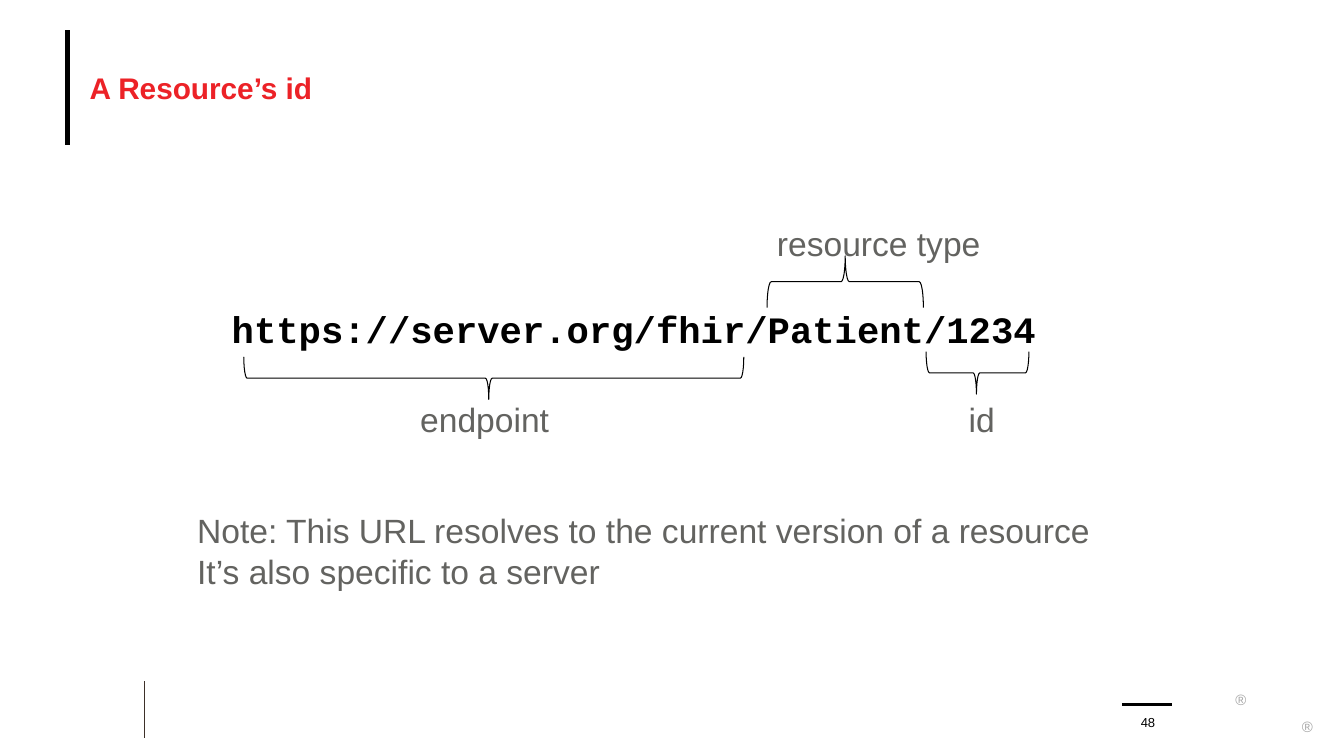
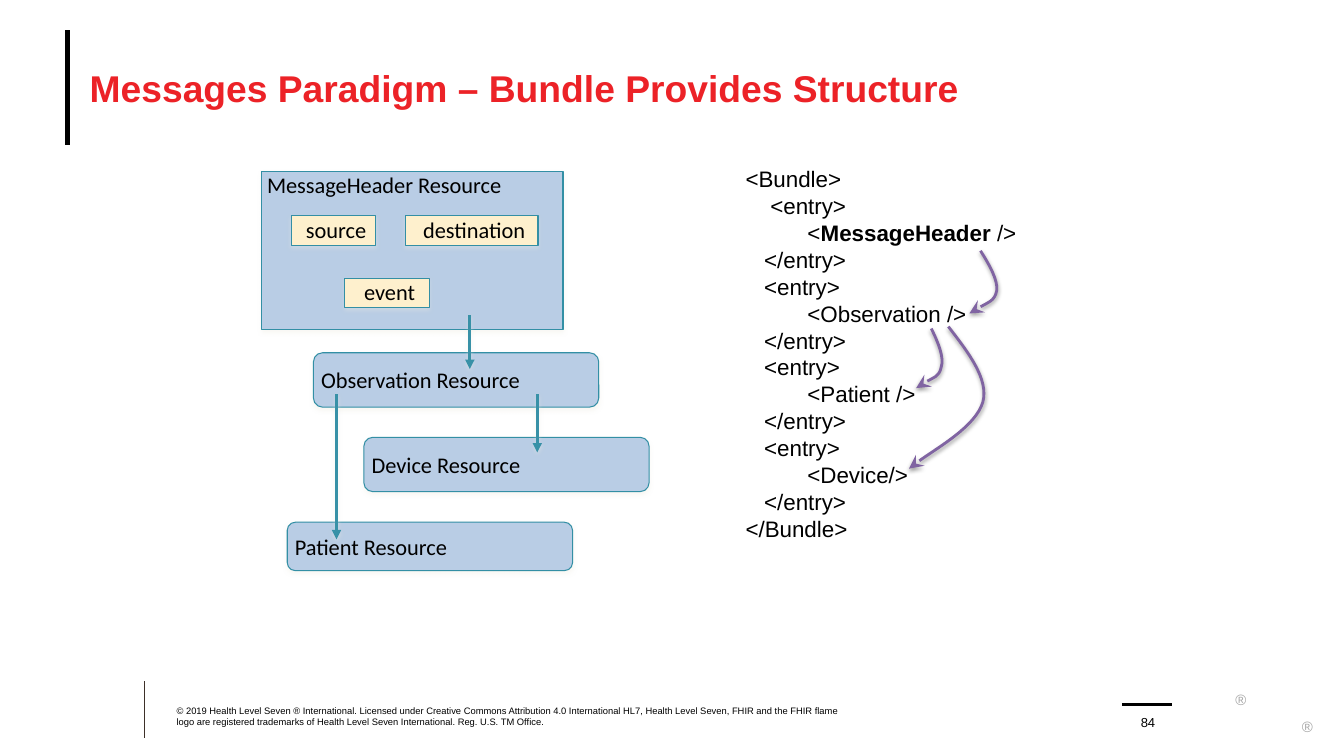
from dataclasses import dataclass, field
from typing import Any

from lxml.etree import SubElement
from pptx import Presentation
from pptx.dml.color import RGBColor
from pptx.enum.shapes import MSO_CONNECTOR, MSO_SHAPE
from pptx.enum.text import MSO_ANCHOR as Anchor, MSO_AUTO_SIZE as AutoSize, PP_ALIGN as Align
from pptx.oxml.ns import qn
from pptx.util import Cm, Pt

# Colours
BLACK = RGBColor(0x00, 0x00, 0x00)
RED = RGBColor(0xEC, 0x22, 0x27)
GREY = RGBColor(0x63, 0x63, 0x60)
MARK_GREY = RGBColor(0xA6, 0xA6, 0xA6)
BROWN = RGBColor(0x3D, 0x30, 0x29)
BLUE = RGBColor(0xB9, 0xCD, 0xE5)
CREAM = RGBColor(0xFE, 0xF0, 0xCD)
TEAL = RGBColor(0x33, 0x8F, 0xA5)
ARROW_TEAL = RGBColor(0x38, 0x91, 0xA7)
PURPLE = RGBColor(0x80, 0x64, 0xA2)
SHADOW_IVORY = RGBColor(0xEE, 0xEC, 0xE1)

NO_MARGINS = (0, 0, 0, 0)
TEXT_MARGINS = (0.25, 0.13, 0.25, 0.13)
BOX_MARGINS = (0.13, 0, 0, 0)


@dataclass(frozen=True)
class Area:
    """Left, top, width and height in centimetres."""
    left: float
    top: float
    width: float
    height: float

    def lengths(self) -> tuple:
        return Cm(self.left), Cm(self.top), Cm(self.width), Cm(self.height)


@dataclass(frozen=True)
class TextStyle:
    size: float
    color: RGBColor = BLACK
    font: str = "Arial"
    bold: bool = False
    margins: tuple = NO_MARGINS
    frame: dict = field(default_factory=dict)
    paragraph: dict = field(default_factory=dict)


@dataclass(frozen=True)
class Line:
    start: tuple
    end: tuple
    color: RGBColor
    width: float


@dataclass(frozen=True)
class Brace:
    area: Area
    rotation: int
    tip: float


@dataclass(frozen=True)
class Box:
    text: str
    area: Area
    kind: MSO_SHAPE
    fill: RGBColor
    style: TextStyle


# Text styles
CENTERED = {"alignment": Align.CENTER}
MIDDLE = {"vertical_anchor": Anchor.MIDDLE}
BOTTOM = {"vertical_anchor": Anchor.BOTTOM}
MARK_STYLE = TextStyle(10.7, MARK_GREY, frame=MIDDLE | {"word_wrap": False}, paragraph=CENTERED)
NUMBER_STYLE = TextStyle(9.3, frame=BOTTOM, paragraph=CENTERED)
COPYRIGHT_STYLE = TextStyle(6.7, frame=BOTTOM)
URL_STYLE = TextStyle(26.6, font="Courier New", bold=True)
LABEL_STYLE = TextStyle(24, GREY, margins=TEXT_MARGINS)
CODE_STYLE = TextStyle(16, margins=TEXT_MARGINS)
HEADER_STYLE = TextStyle(16, font="Calibri", margins=BOX_MARGINS)
RESOURCE_STYLE = TextStyle(16, font="Calibri", margins=BOX_MARGINS, frame=MIDDLE)
FIELD_STYLE = TextStyle(16, font="Calibri", margins=BOX_MARGINS, paragraph=CENTERED)

# Parts on every slide
TITLE_AREA = Area(2.26, 0.76, 30.48, 2.9)
NUMBER_AREA = Area(28.42, 17.75, 1.02, 0.64)
FRAME_LINES = (
    Line((3.63, 17.17), (3.63, 18.59), BROWN, 0.5),
    Line((1.7, 0.76), (1.7, 3.66), BLACK, 3.25),
    Line((28.27, 17.75), (29.54, 17.75), BLACK, 2),
)
MARK_AREAS = (Area(31.08, 17.27, 0.38, 0.71), Area(32.76, 17.96, 0.38, 0.71))

# Resource id slide
BRACES = (
    Brace(Area(11.91, 3.23, 1.07, 12.6), 270, 0.49),
    Brace(Area(20.65, 5.13, 1.3, 3.94), 90, 0.5),
    Brace(Area(24.1, 8.1, 1.07, 2.59), 270, 0.49),
)
URL_TEXTS = (
    ("https://server.org/fhir/Patient/1234", Area(5.84, 7.72, 24.71, 1.45), URL_STYLE),
    ("endpoint", Area(10.34, 9.93, 4.2, 1.27), LABEL_STYLE),
    ("resource type", Area(19.33, 5.49, 6.1, 1.27), LABEL_STYLE),
    ("id", Area(24.16, 9.93, 1.4, 1.27), LABEL_STYLE),
    ("Note: This URL resolves to the current version of a resource\n"
     "It’s also specific to a server", Area(4.72, 12.73, 23.6, 2.31), LABEL_STYLE),
)

# Messages slide
RECTANGLE, ROUNDED = MSO_SHAPE.RECTANGLE, MSO_SHAPE.ROUNDED_RECTANGLE
BOXES = (
    Box("MessageHeader Resource", Area(6.6, 4.32, 7.59, 3.99), RECTANGLE, BLUE, HEADER_STYLE),
    Box("source", Area(7.34, 5.44, 2.13, 0.74), RECTANGLE, CREAM, FIELD_STYLE),
    Box("destination", Area(10.21, 5.44, 3.35, 0.74), RECTANGLE, CREAM, FIELD_STYLE),
    Box("event", Area(8.69, 7.01, 2.13, 0.74), RECTANGLE, CREAM, FIELD_STYLE),
    Box("Observation Resource", Area(7.9, 8.89, 7.19, 1.37), ROUNDED, BLUE, RESOURCE_STYLE),
    Box("Device Resource", Area(9.17, 11.02, 7.19, 1.37), ROUNDED, BLUE, RESOURCE_STYLE),
    Box("Patient Resource", Area(7.24, 13.16, 7.19, 1.22), ROUNDED, BLUE, RESOURCE_STYLE),
)
RESOURCE_ARROWS = (
    Line((11.84, 7.95), (11.84, 9.3), ARROW_TEAL, 2.25),
    Line((13.54, 9.93), (13.54, 11.4), ARROW_TEAL, 2.25),
    Line((8.48, 9.93), (8.48, 13.59), ARROW_TEAL, 2.25),
)
# Start point, then three points for each Bezier segment
REFERENCE_CURVES = (
    ((24.71, 6.32), (24.94, 6.68), (25.15, 7.06), (25.12, 7.32),
     (25.07, 7.59), (24.56, 7.8), (24.43, 7.9)),
    ((23.9, 8.23), (24.41, 8.89), (24.92, 9.55), (24.77, 10.13),
     (24.59, 10.74), (23.22, 11.53), (22.91, 11.81)),
    ((23.47, 8.28), (23.65, 8.64), (23.8, 9.02), (23.72, 9.25),
     (23.67, 9.5), (23.19, 9.68), (23.09, 9.78)),
)
# Double asterisks enclose bold text
BUNDLE_CODE = """<Bundle>
    <entry>
          <**MessageHeader** />
   </entry>
   <entry>
          <Observation />
   </entry>
   <entry>
          <Patient />
   </entry>
   <entry>
          <Device/>
   </entry>
</Bundle>"""
COPYRIGHT = (
    "© 2019 Health Level Seven ® International. Licensed under Creative Commons "
    "Attribution 4.0 International HL7, Health Level Seven, FHIR and the FHIR flame "
    "logo are registered trademarks of Health Level Seven International. "
    "Reg. U.S. TM Office."
)


def apply_format(target: Any, values: dict) -> None:
    for name, value in values.items():
        setattr(target, name, value)


def write_text(shape: Any, text: str, style: TextStyle) -> None:
    text_frame = shape.text_frame
    sides = ("margin_left", "margin_top", "margin_right", "margin_bottom")
    margins = {side: Cm(margin) for side, margin in zip(sides, style.margins)}
    defaults = {"word_wrap": True, "auto_size": AutoSize.NONE, "vertical_anchor": Anchor.TOP}
    apply_format(text_frame, defaults | margins | style.frame)
    for index, content in enumerate(text.split("\n")):
        paragraph = text_frame.add_paragraph() if index else text_frame.paragraphs[0]
        apply_format(paragraph, {"alignment": Align.LEFT} | style.paragraph)
        for position, part in enumerate(content.split("**")):
            run = paragraph.add_run()
            run.text = part
            bold = style.bold or position % 2 == 1
            apply_format(run.font, {"name": style.font, "size": Pt(style.size), "bold": bold})
            run.font.color.rgb = style.color


def add_text(slide: Any, text: str, area: Area, style: TextStyle) -> None:
    write_text(slide.shapes.add_textbox(*area.lengths()), text, style)


def set_line(shape: Any, color: RGBColor, width: float, arrowhead: str = "",
             head_size: str = "med") -> None:
    shape.line.color.rgb = color
    shape.line.width = Pt(width)
    if arrowhead:
        outline = shape.line._get_or_add_ln()
        SubElement(outline, qn("a:tailEnd"), type=arrowhead, w=head_size, len=head_size)


def set_shadow(shape: Any, color: RGBColor | None = None, alpha: int = 38,
               distance: float = 1.6) -> None:
    properties = shape._element.spPr
    effects = properties.find(qn("a:effectLst"))
    if effects is None:
        effects = SubElement(properties, qn("a:effectLst"))
    if color is None:
        return
    shadow = SubElement(effects, qn("a:outerShdw"), blurRad=str(Pt(3)),
                        dist=str(Pt(distance)), dir="5400000", rotWithShape="0")
    shade = SubElement(shadow, qn("a:srgbClr"), val=str(color))
    SubElement(shade, qn("a:alpha"), val=str(alpha * 1000))


def add_line(slide: Any, line: Line, arrowhead: str = "",
             shadow: RGBColor | None = None) -> None:
    ends = [Cm(value) for value in line.start + line.end]
    connector = slide.shapes.add_connector(MSO_CONNECTOR.STRAIGHT, *ends)
    set_line(connector, line.color, line.width, arrowhead)
    set_shadow(connector, shadow)


def add_brace(slide: Any, brace: Brace) -> None:
    shape = slide.shapes.add_shape(MSO_SHAPE.LEFT_BRACE, *brace.area.lengths())
    shape.rotation = brace.rotation
    shape.adjustments[0] = 0.08
    shape.adjustments[1] = brace.tip
    shape.shadow.inherit = False
    shape.fill.background()
    set_line(shape, BLACK, 0.75)


def add_box(slide: Any, box: Box) -> None:
    shape = slide.shapes.add_shape(box.kind, *box.area.lengths())
    shape.shadow.inherit = False
    shape.fill.solid()
    shape.fill.fore_color.rgb = box.fill
    set_line(shape, TEAL, 0.75)
    set_shadow(shape, SHADOW_IVORY, alpha=35, distance=1.8)
    write_text(shape, box.text, box.style)


def add_curve(slide: Any, points: tuple) -> None:
    start, *others = [(Cm(x), Cm(y)) for x, y in points]
    builder = slide.shapes.build_freeform(*start)
    builder.add_line_segments(others, close=False)
    shape = builder.convert_to_shape()
    # Turn each three straight segments into one Bezier segment
    outline = shape._element.spPr.find(".//" + qn("a:path"))
    segments = outline.findall(qn("a:lnTo"))
    for first in range(0, len(segments), 3):
        curve = SubElement(outline, qn("a:cubicBezTo"))
        for segment in segments[first:first + 3]:
            curve.append(segment[0])
            outline.remove(segment)
    shape.shadow.inherit = False
    shape.fill.background()
    set_line(shape, PURPLE, 2, "stealth", "lg")
    set_shadow(shape, BLACK)


def add_framed_slide(presentation: Any, title: str, title_size: float, number: int) -> Any:
    slide = presentation.slides.add_slide(presentation.slide_layouts[5])
    placeholder = slide.shapes.title
    apply_format(placeholder, dict(zip(("left", "top", "width", "height"), TITLE_AREA.lengths())))
    write_text(placeholder, title, TextStyle(title_size, RED, bold=True, frame=MIDDLE))
    for line in FRAME_LINES:
        add_line(slide, line)
    for area in MARK_AREAS:
        add_text(slide, "®", area, MARK_STYLE)
    add_text(slide, str(number), NUMBER_AREA, NUMBER_STYLE)
    return slide


def add_resource_id_slide(presentation: Any) -> None:
    slide = add_framed_slide(presentation, "A Resource’s id", 21.3, 48)
    for brace in BRACES:
        add_brace(slide, brace)
    for text, area, style in URL_TEXTS:
        add_text(slide, text, area, style)


def add_messages_slide(presentation: Any) -> None:
    title = "Messages Paradigm – Bundle Provides Structure"
    slide = add_framed_slide(presentation, title, 26.6, 84)
    for box in BOXES:
        add_box(slide, box)
    for arrow in RESOURCE_ARROWS:
        add_line(slide, arrow, "triangle", SHADOW_IVORY)
    add_text(slide, BUNDLE_CODE, Area(18.54, 4.04, 7.9, 9.83), CODE_STYLE)
    for points in REFERENCE_CURVES:
        add_curve(slide, points)
    add_text(slide, COPYRIGHT, Area(4.45, 17.75, 16.79, 0.58), COPYRIGHT_STYLE)


def main() -> None:
    presentation = Presentation()
    presentation.slide_width, presentation.slide_height = Cm(33.87), Cm(19.05)
    add_resource_id_slide(presentation)
    add_messages_slide(presentation)
    presentation.save("out.pptx")


if __name__ == "__main__":
    main()
